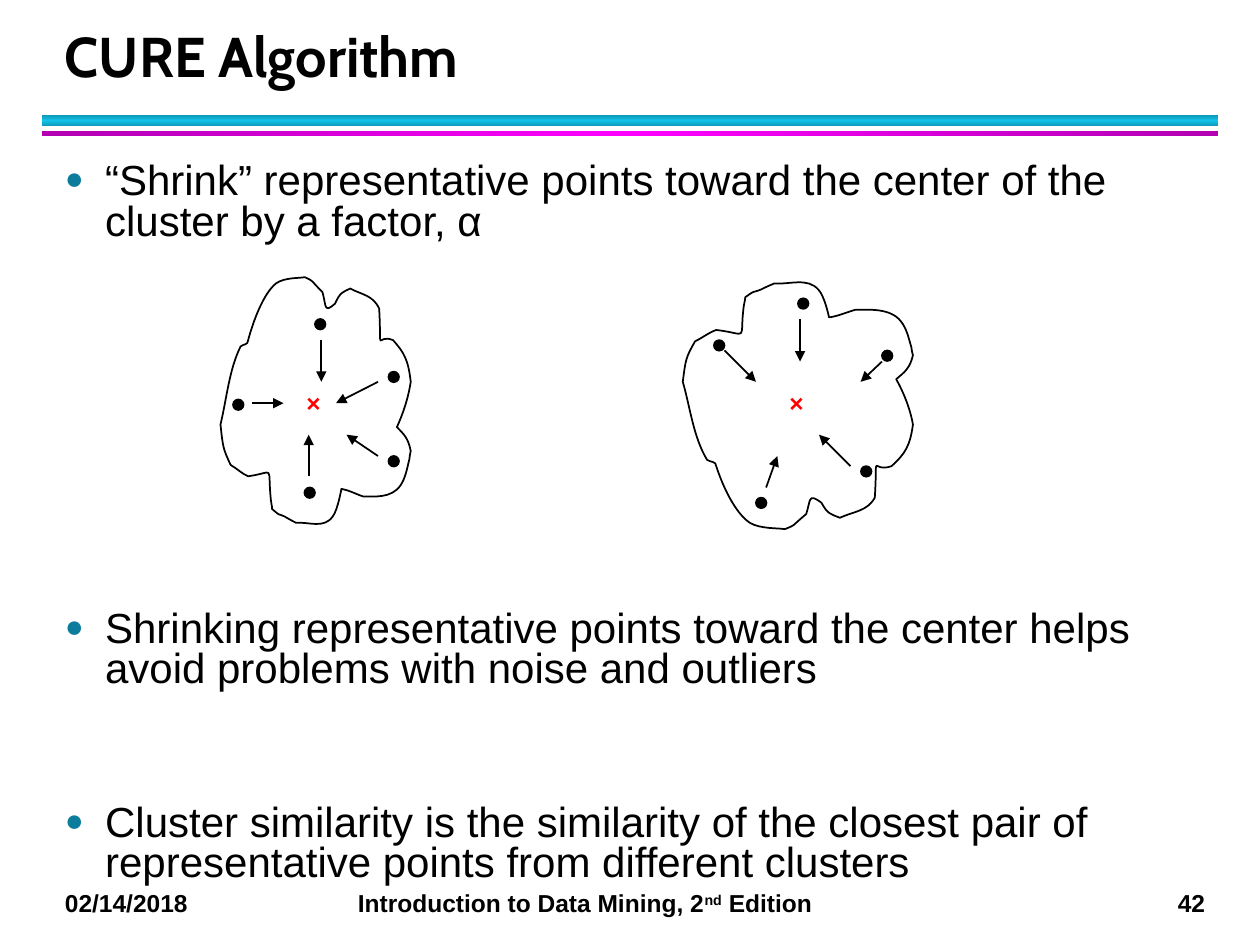
import copy

import lxml.etree
import pptx
import pptx.dml.color
import pptx.enum.shapes
import pptx.enum.text
import pptx.oxml.ns
import pptx.util

Pt = pptx.util.Pt
qn = pptx.oxml.ns.qn

OUTLINE_START = (11.5, 39.6)
OUTLINE_CURVES = [
    ((5, 52.6), (3.6, 69.1), (0, 84.2)),
    ((1.4, 97.2), (1.4, 97.9), (5.8, 107.3)),
    ((9.4, 109.4), (12.2, 112.3), (15.8, 113.8)),
    ((31.7, 111.6), (26.6, 106.6), (28.8, 127.4)),
    ((28.8, 128.9), (29.5, 130.3), (29.5, 132.5)),
    ((34.6, 136.8), (31.7, 134.6), (36.7, 136.8)),
    ((38.9, 138.2), (43.2, 140.4), (43.2, 140.4)),
    ((50.4, 139.7), (59, 144), (64.1, 136.8)),
    ((67, 133.2), (69.1, 121), (69.1, 121)),
    ((73.4, 121.7), (77, 123.8), (81.4, 125.3)),
    ((87.1, 125.3), (97.9, 126.7), (103, 118.8)),
    ((105.8, 114.5), (106.6, 109.4), (108, 103.7)),
    ((108, 102.2), (108.7, 99.4), (108.7, 99.4)),
    ((107.3, 92.2), (105.1, 90), (100.8, 85.7)),
    ((104.4, 77.8), (107.3, 69.1), (108.7, 59.8)),
    ((107.3, 47.5), (105.1, 43.2), (98.6, 36)),
    ((88.6, 31.7), (92.2, 46.8), (90.7, 18)),
    ((87.1, 10.1), (80.6, 10.1), (74.2, 6.5)),
    ((69.8, 8.6), (68.4, 8.6), (65.5, 15.1)),
    ((59, 20.9), (60.5, 16.6), (58.3, 8.6)),
    ((50.4, 0.7), (54, 2.9), (48.2, 0)),
    ((45.4, 0.7), (36.7, 0), (31.7, 3.6)),
    ((24.5, 9.4), (18.7, 25.2), (15.8, 36)),
    ((15.8, 38.9), (13, 38.2), (11.5, 39.6)),
]
LEFT_DOTS = [(174, 278.6), (180, 182.3), (133.2, 228.3), (222, 212.4), (222, 260.6)]
RIGHT_DOTS = [(504, 200.3), (408, 194.4), (432, 284.4), (456, 170.5), (492, 266.4)]
LEFT_ARROWS = [
    (183.6, 194.4, 183.6, 218.2), (216, 218.2, 192, 230.4),
    (216, 260.6, 198, 248.4), (176.4, 272.2, 176.4, 248.4),
    (144, 230.4, 162, 230.4),
]
RIGHT_ARROWS = [
    (457.2, 182.2, 457.2, 206.6), (414, 200.2, 432, 218.2),
    (504, 206.6, 491.8, 218.2), (486, 266.4, 468, 248.4),
    (437.8, 278.6, 444.2, 260.6),
]
BULLETS = [
    ("“Shrink” representative points toward the center of the cluster by a factor, α", 0),
    ("Shrinking representative points toward the center helps avoid problems with noise and outliers", 209.7),
    ("Cluster similarity is the similarity of the closest pair of representative points from different clusters", 64.6),
]


def color(value):
    return pptx.dml.color.RGBColor.from_string(value)


def style_font(para, size, name="Arial", bold=True, hue="000000"):
    para.font.size = Pt(size)
    para.font.name = name
    para.font.bold = bold
    para.font.color.rgb = color(hue)


def add_text(page, left, top, width, height):
    box = page.shapes.add_textbox(Pt(left), Pt(top), Pt(width), Pt(height))
    box.text_frame.word_wrap = True
    return box.text_frame


def add_band(page, top, height, edge, middle, angle):
    band = page.shapes.add_shape(
        pptx.enum.shapes.MSO_SHAPE.RECTANGLE, Pt(24), Pt(top), Pt(672), Pt(height))
    band.shadow.inherit = False
    band.line.fill.background()
    band.fill.gradient()
    band.fill.gradient_angle = angle
    stops = band._element.spPr.find(qn("a:gradFill")).find(qn("a:gsLst"))
    stops.insert(1, copy.deepcopy(stops[0]))
    for stop, (position, hue) in zip(
            band.fill.gradient_stops, [(0, edge), (0.5, middle), (1, edge)]):
        stop.position = position
        stop.color.rgb = color(hue)


def round_outline(outline):
    segments = list(outline._element.spPr.iter(qn("a:lnTo")))
    for start in range(0, len(segments), 3):
        curve = lxml.etree.Element(qn("a:cubicBezTo"))
        segments[start].addprevious(curve)
        for segment in segments[start:start + 3]:
            curve.append(segment[0])
            segment.getparent().remove(segment)


def add_cluster(page, left, top, stretch_x, stretch_y):
    corners = [OUTLINE_START] + [corner for curve in OUTLINE_CURVES for corner in curve]
    points = [(Pt(left + x * stretch_x), Pt(top + y * stretch_y)) for x, y in corners]
    builder = page.shapes.build_freeform(*points[0])
    builder.add_line_segments(points[1:], close=True)
    outline = builder.convert_to_shape()
    round_outline(outline)
    outline.shadow.inherit = False
    outline.fill.background()
    outline.line.color.rgb = color("000000")
    outline.line.width = Pt(1)


def add_dot(page, left, top):
    dot = page.shapes.add_shape(
        pptx.enum.shapes.MSO_SHAPE.OVAL, Pt(left), Pt(top), Pt(6), Pt(6))
    dot.shadow.inherit = False
    dot.fill.solid()
    dot.fill.fore_color.rgb = color("000000")
    dot.line.color.rgb = color("000000")
    dot.line.width = Pt(1)


def add_arrow(page, *ends):
    arrow = page.shapes.add_connector(
        pptx.enum.shapes.MSO_CONNECTOR.STRAIGHT, *[Pt(end) for end in ends])
    arrow.line.color.rgb = color("000000")
    arrow.line.width = Pt(1)
    lxml.etree.SubElement(arrow.line._get_or_add_ln(), qn("a:tailEnd"), type="triangle")
    lxml.etree.SubElement(arrow._element.spPr, qn("a:effectLst"))


def add_center_mark(page, left):
    para = add_text(page, left, 218.2, 18, 24).paragraphs[0]
    para.text = "×"
    style_font(para, 14, hue="FF0000")


def add_title(page):
    frame = add_text(page, 30, 12, 652, 42)
    frame.vertical_anchor = pptx.enum.text.MSO_ANCHOR.BOTTOM
    para = frame.paragraphs[0]
    para.text = "CURE Algorithm"
    para.line_spacing = Pt(36)
    style_font(para, 32, name="Cabin")


def add_bullets(page):
    frame = add_text(page, 30, 90, 655, 408)
    for index, (text, gap) in enumerate(BULLETS):
        para = frame.add_paragraph() if index else frame.paragraphs[0]
        para.text = text
        para.line_spacing = 0.8
        para.space_before = Pt(gap)
        style_font(para, 24, bold=False)
        properties = para._p.get_or_add_pPr()
        properties.set("marL", str(Pt(23)))
        properties.set("indent", str(Pt(-23)))
        hue = lxml.etree.Element(qn("a:buClr"))
        lxml.etree.SubElement(hue, qn("a:srgbClr"), val="0C7B9C")
        size = lxml.etree.Element(qn("a:buSzPct"), val="75000")
        font = lxml.etree.Element(qn("a:buFont"), typeface="Arial")
        mark = lxml.etree.Element(qn("a:buChar"), char="●")
        for element in (hue, size, font, mark):
            properties.find(qn("a:defRPr")).addprevious(element)


def add_footer(page):
    para = add_text(page, 30, 504, 672, 40).paragraphs[0]
    style_font(para, 14)
    for text in ("02/14/2018\tIntroduction to Data Mining, 2", "nd", " Edition\t42"):
        span = para.add_run()
        span.text = text
        if text == "nd":
            span._r.get_or_add_rPr().set("baseline", "30000")
    tabs = lxml.etree.Element(qn("a:tabLst"))
    for position, align in ((167.4, "l"), (651.6, "r")):
        lxml.etree.SubElement(tabs, qn("a:tab"), pos=str(Pt(position)), algn=align)
    para._p.get_or_add_pPr().find(qn("a:defRPr")).addprevious(tabs)


def main():
    deck = pptx.Presentation()
    deck.slide_width, deck.slide_height = Pt(720), Pt(540)
    page = deck.slides.add_slide(deck.slide_layouts[6])
    add_band(page, 66, 6, "0E9BBA", "12C2E9", 90)
    add_band(page, 75, 3, "B200B2", "FF00FF", 0)
    add_footer(page)
    add_bullets(page)
    add_title(page)
    add_cluster(page, 126, 158.4, 1, 1)
    add_cluster(page, 390.2, 302.4, 1.21, -1)
    for left, top in LEFT_DOTS + RIGHT_DOTS:
        add_dot(page, left, top)
    for ends in LEFT_ARROWS + RIGHT_ARROWS:
        add_arrow(page, *ends)
    for left in (168, 444):
        add_center_mark(page, left)
    deck.save("out.pptx")


if __name__ == "__main__":
    main()
